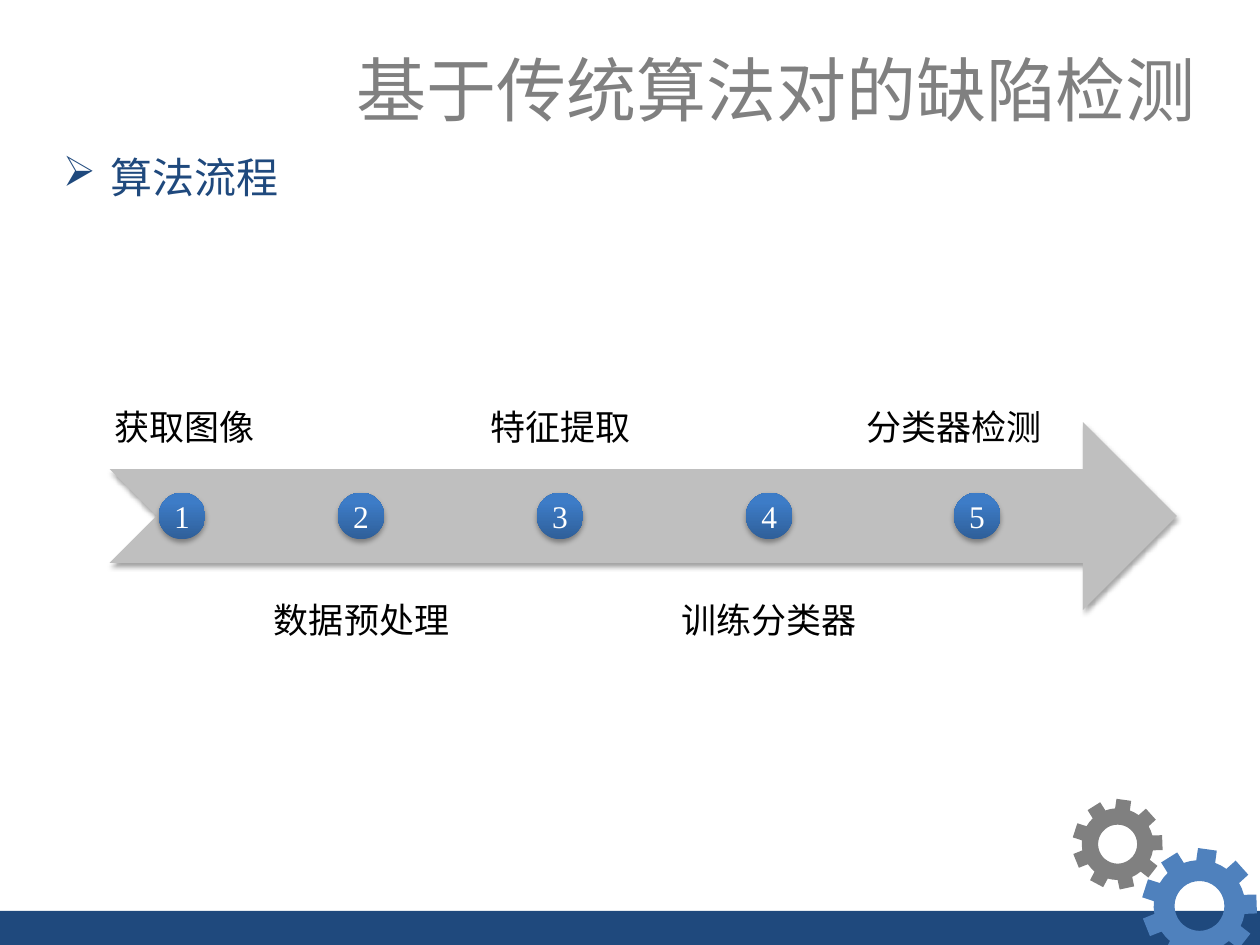
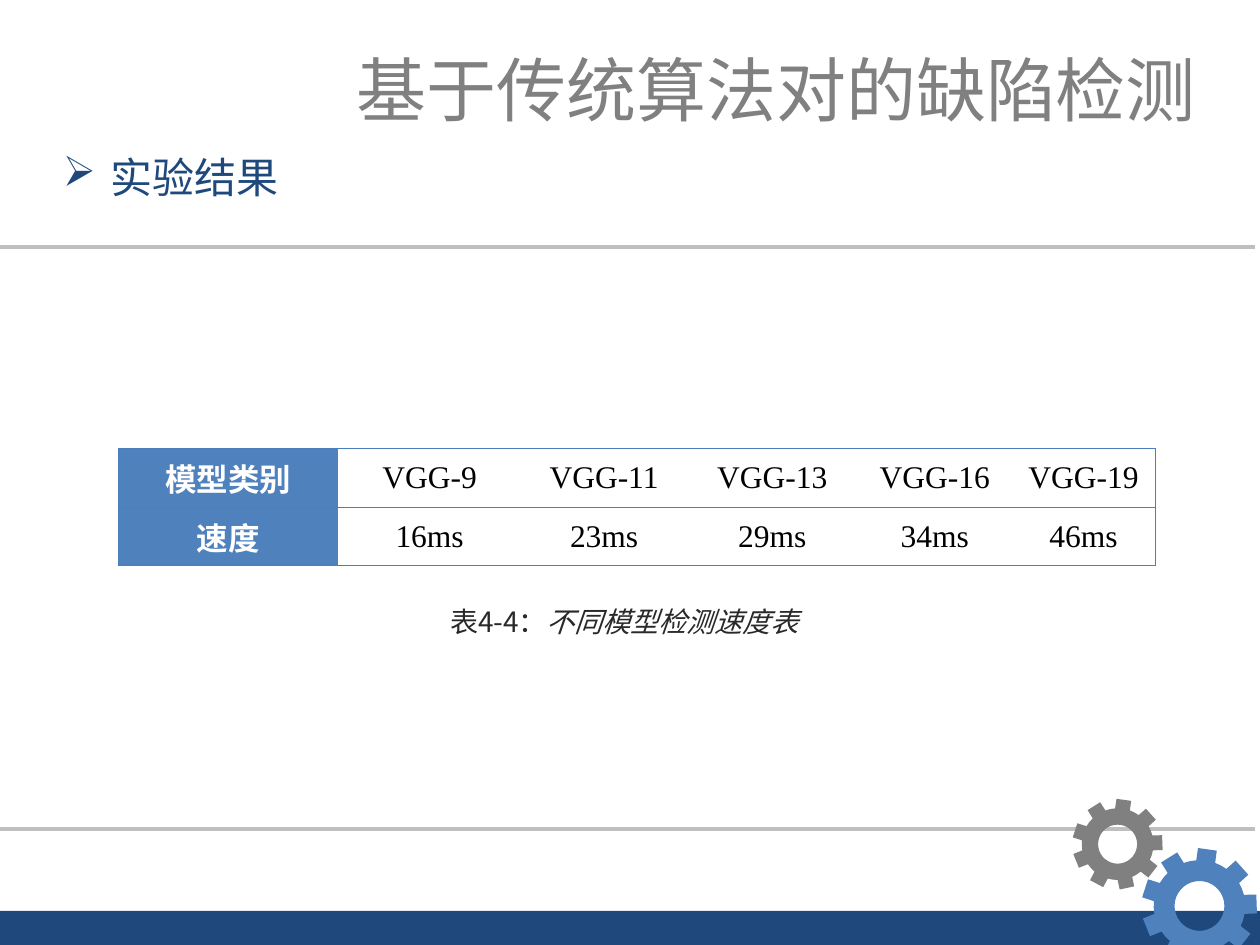
from math import cos, radians, sin

from pptx import Presentation
from pptx import util as u
from pptx.dml.color import RGBColor
from pptx.enum import shapes, text
from pptx.oxml import parse_xml
from pptx.oxml.ns import nsdecls, qn

CJK, LATIN = "Noto Sans CJK SC", "Times New Roman"
NAVY, BLUE, GREY, SILVER = "1F497D", "4F81BD", "808080", "BFBFBF"
BLACK, WHITE, BORDER, CAPTION = "000000", "FFFFFF", "4B7EBC", "292929"
TITLE = "基于传统算法对的缺陷检测"

TITLE_TEXT = {"name": CJK, "size": u.Pt(40), "color": GREY}
HEADING_TEXT = {"name": CJK, "size": u.Pt(24), "color": NAVY}
LABEL_TEXT = {"name": CJK, "size": u.Pt(20), "color": BLACK}
NUMBER_TEXT = {"name": LATIN, "size": u.Pt(18), "color": WHITE}
CAPTION_TEXT = {"name": CJK, "size": u.Pt(16), "color": CAPTION}
ROW_HEAD_TEXT = {"name": CJK, "size": u.Pt(18), "color": WHITE, "bold": True}
CELL_TEXT = {"name": LATIN, "size": u.Pt(18), "color": BLACK, "bold": False}

# step name, circle left, label left, label width
STEPS = [
    ("获取图像", 1.26, 0.69, 1.55),
    ("数据预处理", 2.68, 2.01, 1.72),
    ("特征提取", 4.26, 3.71, 1.48),
    ("训练分类器", 5.92, 5.22, 1.77),
    ("分类器检测", 7.57, 6.66, 1.82),
]
SPEEDS = [
    ["模型类别", "VGG-9", "VGG-11", "VGG-13", "VGG-16", "VGG-19"],
    ["速度", "16ms", "23ms", "29ms", "34ms", "46ms"],
]
SPEED_COLUMNS = [1.74, 1.46, 1.31, 1.36, 1.22, 1.14]


def rgb(code):
    return RGBColor.from_string(code)


def inches(*lengths):
    return [u.Inches(length) for length in lengths]


def add_run(paragraph, words, style):
    run = paragraph.add_run()
    run.text = words
    for key, value in style.items():
        if key == "color":
            run.font.color.rgb = rgb(value)
        else:
            setattr(run.font, key, value)
    east_asian = parse_xml(f'<a:ea {nsdecls("a")} typeface="{style["name"]}"/>')
    run.font._element.find(qn("a:latin")).addnext(east_asian)


def add_text(slide, box, words, style, align=text.PP_ALIGN.LEFT, **frame_format):
    frame = slide.shapes.add_textbox(*inches(*box)).text_frame
    frame.word_wrap = True
    for key, value in frame_format.items():
        setattr(frame, key, value)
    paragraph = frame.paragraphs[0]
    paragraph.alignment = align
    add_run(paragraph, words, style)
    return paragraph


def add_flat_shape(slide, kind, box, color):
    shape = slide.shapes.add_shape(kind, *inches(*box))
    shape.shadow.inherit = False
    shape.fill.solid()
    shape.fill.fore_color.rgb = rgb(color)
    shape.line.fill.background()
    return shape


def add_soft_shadow(shape):
    shape._element.spPr.find(qn("a:effectLst")).append(parse_xml(
        f'<a:outerShdw {nsdecls("a")} blurRad="{u.Pt(3.1)}" dist="{u.Pt(1.8)}" '
        'dir="5400000" rotWithShape="0"><a:srgbClr val="000000">'
        '<a:alpha val="35000"/></a:srgbClr></a:outerShdw>'))


def add_gear(slide, center_x, center_y, radius, color, teeth=9):
    def point(angle, share):
        return (u.Inches(center_x + radius * share * cos(radians(angle))),
                u.Inches(center_y + radius * share * sin(radians(angle))))

    root, hole = 0.79, 0.43
    pitch = 360 / teeth
    rim = []
    for tooth in range(teeth):
        middle = -82 + tooth * pitch
        rim += [point(middle + turn, share) for turn, share in
                ((-12, root), (-9.4, 1), (9.4, 1), (12, root), (pitch / 2, root))]
    bore = [point(-angle, hole) for angle in range(0, 360, 10)]
    outline = slide.shapes.build_freeform(*rim[0])
    outline.add_line_segments(rim[1:])
    outline.move_to(*bore[0])
    outline.add_line_segments(bore[1:])
    gear = outline.convert_to_shape()
    gear.shadow.inherit = False
    gear.fill.solid()
    gear.fill.fore_color.rgb = rgb(color)
    gear.line.fill.background()


def add_base_slide(deck, heading):
    """Add a slide with the shared band, title, gears and bulleted heading."""
    slide = deck.slides.add_slide(deck.slide_layouts[6])
    add_flat_shape(slide, shapes.MSO_SHAPE.RECTANGLE, (0, 7.23, 10, 0.27), NAVY)
    add_text(slide, (2.66, 0.32, 6.93, 0.77), TITLE, TITLE_TEXT,
             text.PP_ALIGN.RIGHT, word_wrap=False)
    bullet = add_text(slide, (0.4, 1.15, 4.87, 0.5), heading, HEADING_TEXT)
    properties = bullet._p.get_or_add_pPr()
    properties.set("marL", str(u.Inches(0.38)))
    properties.set("indent", str(u.Inches(-0.38)))
    properties.append(parse_xml(f'<a:buChar {nsdecls("a")} char="➢"/>'))
    return slide


def add_gears(slide):
    add_gear(slide, 9.52, 7.19, 0.46, BLUE)
    add_gear(slide, 8.87, 6.7, 0.36, GREY)


def add_step_number(slide, box, number):
    circle = add_flat_shape(slide, shapes.MSO_SHAPE.OVAL, box, BLUE)
    add_soft_shadow(circle)
    circle.fill.gradient()
    circle.fill.gradient_angle = 90
    for stop, (position, color) in zip(circle.fill.gradient_stops,
                                       ((0, "2F5F99"), (0.8, "3D7CC7"))):
        stop.position = position
        stop.color.rgb = rgb(color)
    frame = circle.text_frame
    for side in ("left", "right", "top", "bottom"):
        setattr(frame, f"margin_{side}", 0)
    frame.vertical_anchor = text.MSO_ANCHOR.MIDDLE
    frame.paragraphs[0].alignment = text.PP_ALIGN.CENTER
    add_run(frame.paragraphs[0], str(number), NUMBER_TEXT)


def add_process_arrow(slide, box):
    """Draw the arrow with its numbered steps, labelled above and below in turn."""
    top, height = box[1], box[3]
    arrow = add_flat_shape(slide, shapes.MSO_SHAPE.NOTCHED_RIGHT_ARROW, box, SILVER)
    add_soft_shadow(arrow)
    diameter, label_height = 0.37, 0.75
    margins = {f"margin_{side}": u.Inches(0.16)
               for side in ("left", "right", "top", "bottom")}
    for number, (name, circle_left, label_left, label_width) in enumerate(STEPS, 1):
        above = number % 2 == 1
        label_top = top - 0.39 if above else top + 1.29
        anchor = text.MSO_ANCHOR.BOTTOM if above else text.MSO_ANCHOR.TOP
        label = add_text(slide, (label_left, label_top, label_width, label_height),
                         name, LABEL_TEXT, text.PP_ALIGN.CENTER, word_wrap=False,
                         vertical_anchor=anchor, **margins)
        label.line_spacing = 0.9
        circle_top = top + (height - diameter) / 2
        add_step_number(slide, (circle_left, circle_top, diameter, diameter), number)


def add_rule(slide, y):
    rule = slide.shapes.add_connector(shapes.MSO_CONNECTOR.STRAIGHT,
                                      *inches(0, y, 9.96, y))
    rule.line.color.rgb = rgb(SILVER)
    rule.line.width = u.Pt(2.25)
    rule._element.spPr.append(parse_xml(f'<a:effectLst {nsdecls("a")}/>'))


def set_borders(cell, drawn_sides):
    properties = cell._tc.get_or_add_tcPr()
    for side in "LRTB":
        paint = (f'<a:solidFill><a:srgbClr val="{BORDER}"/></a:solidFill>'
                 if side in drawn_sides else "<a:noFill/>")
        properties.append(parse_xml(
            f'<a:ln{side} {nsdecls("a")} w="{u.Pt(0.75)}">{paint}</a:ln{side}>'))


def add_speed_table(slide, box):
    last = len(SPEED_COLUMNS) - 1
    table = slide.shapes.add_table(len(SPEEDS), last + 1, *inches(*box)).table
    table.first_row = table.horz_banding = False
    table.first_col = True
    for column, width in zip(table.columns, SPEED_COLUMNS):
        column.width = u.Inches(width)
    for r, row in enumerate(SPEEDS):
        for c, value in enumerate(row):
            cell = table.cell(r, c)
            set_borders(cell, "TB" + {0: "L", last: "R"}.get(c, ""))
            if c == 0:
                cell.fill.solid()
                cell.fill.fore_color.rgb = rgb(BLUE)
            else:
                cell.fill.background()
            cell.vertical_anchor = text.MSO_ANCHOR.MIDDLE
            paragraph = cell.text_frame.paragraphs[0]
            paragraph.alignment = text.PP_ALIGN.CENTER
            add_run(paragraph, value, CELL_TEXT if c else ROW_HEAD_TEXT)


def add_process_slide(deck):
    slide = add_base_slide(deck, "算法流程")
    add_gears(slide)
    add_process_arrow(slide, (0.87, 3.35, 8.47, 1.49))


def add_results_slide(deck):
    slide = add_base_slide(deck, "实验结果")
    for y in (1.96, 6.58):
        add_rule(slide, y)
    add_gears(slide)
    add_speed_table(slide, (0.94, 3.56, 8.23, 0.93))
    caption = add_text(slide, (0.75, 4.75, 8.41, 0.37), "表4-4：", CAPTION_TEXT,
                       text.PP_ALIGN.CENTER)
    add_run(caption, "不同模型检测速度表", CAPTION_TEXT | {"italic": True})


def main():
    deck = Presentation()
    deck.slide_width, deck.slide_height = inches(10, 7.5)
    add_process_slide(deck)
    add_results_slide(deck)
    deck.save("out.pptx")


if __name__ == "__main__":
    main()
